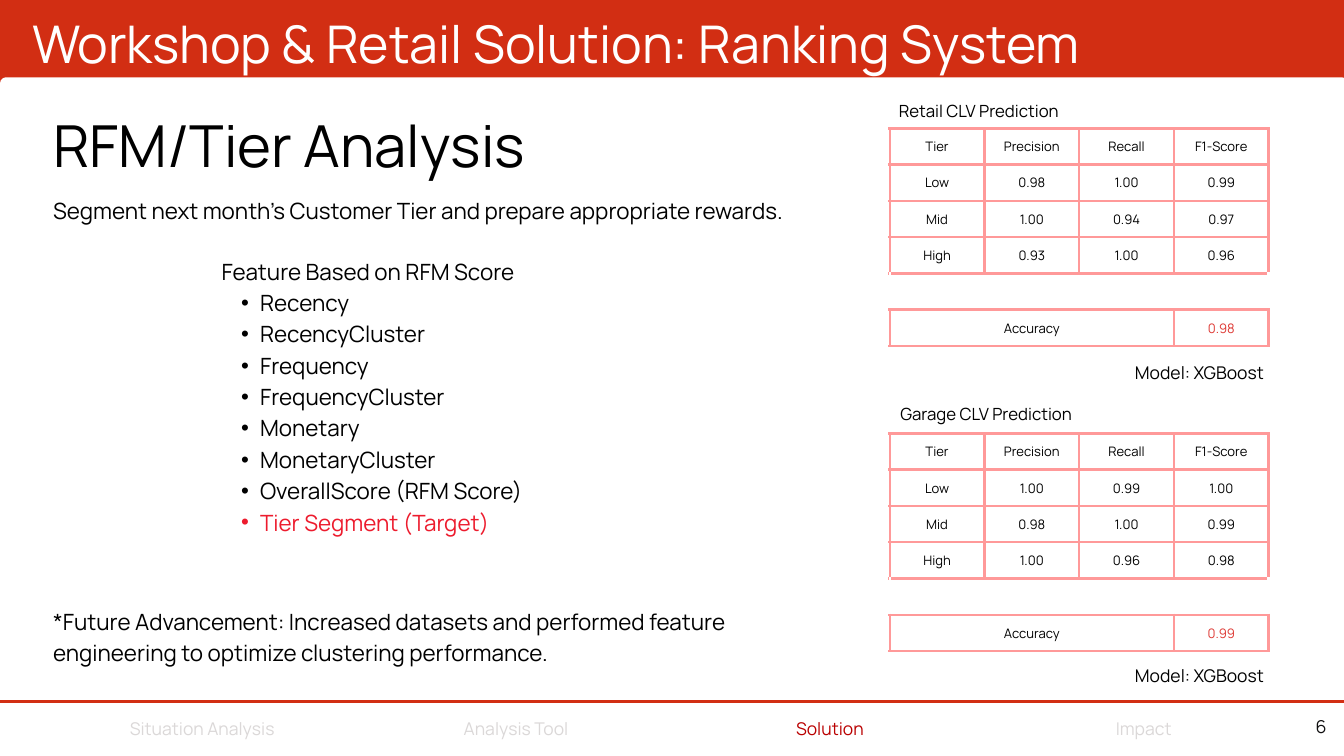
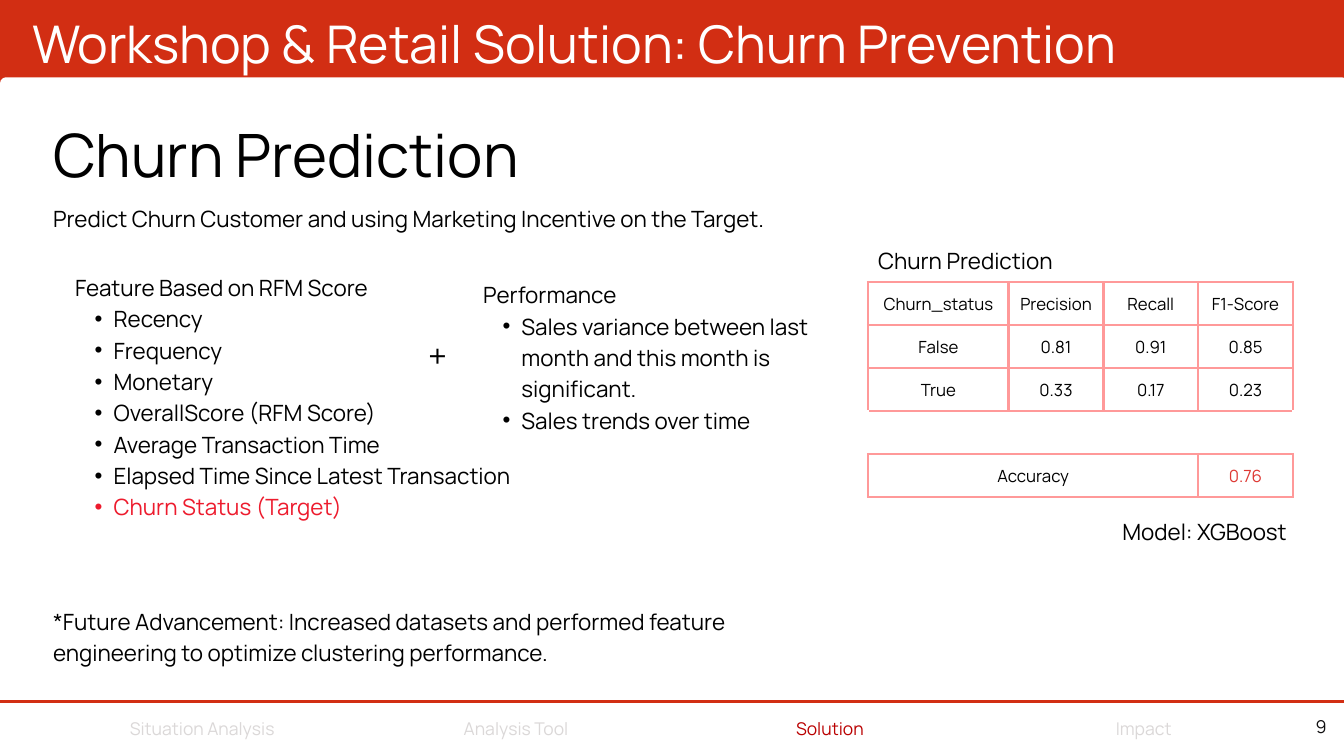
"""Build two slides on customer ranking and churn prediction for a workshop and retail business."""
from lxml import etree
from pptx import Presentation, util as u
from pptx.dml.color import RGBColor
from pptx.enum import shapes, text
from pptx.oxml import ns

COLOURS = {
    "brand": "D22E13", "panel": "FFFFFF", "ink": "000000", "page": "100F10",
    "target": "ED1B2D", "score": "DE3934", "grid": "FF9999",
    "muted": "DBD8D8", "current": "BA0000",
}
FONT = "Manrope"
LEADING = 1.4
MARGIN = 0.79
SECTIONS = ["Situation Analysis", "Analysis Tool", "Solution", "Impact"]
FUTURE = ("*Future Advancement: Increased datasets and performed feature "
          "engineering to optimize clustering performance.")
METRICS = ["Precision", "Recall", "F1-Score"]
MODEL = "Model: XGBoost"
LEFT, CENTER, RIGHT = text.PP_ALIGN.LEFT, text.PP_ALIGN.CENTER, text.PP_ALIGN.RIGHT


def rgb(name):
    return RGBColor.from_string(COLOURS[name])


def box(*lengths):
    return [u.Inches(length) for length in lengths]


def add_xml(parent, tag, **attributes):
    return etree.SubElement(parent, ns.qn(tag), attributes)


class Deck:
    def __init__(self):
        self.prs = Presentation()
        self.prs.slide_width, self.prs.slide_height = box(20, 11.25)
        fill = self.prs.slide_master.background.fill
        fill.solid()
        fill.fore_color.rgb = rgb("brand")
        self.slide = None

    def style(self, paragraph, size, colour="ink", align=LEFT, leading=None):
        paragraph.alignment = align
        paragraph.line_spacing = u.Pt(leading or round(size * LEADING, 1))
        paragraph.space_before = u.Pt(0)
        font = paragraph.font
        font.size, font.name = u.Pt(size), FONT
        font.color.rgb = rgb(colour)

    def frame(self, holder):
        frame = holder.text_frame
        frame.margin_left = frame.margin_right = frame.margin_top = frame.margin_bottom = 0
        frame.word_wrap = True
        frame.vertical_anchor = text.MSO_ANCHOR.TOP
        frame.auto_size = text.MSO_AUTO_SIZE.SHAPE_TO_FIT_TEXT
        return frame

    def start(self, title, page, section):
        self.slide = self.prs.slides.add_slide(self.prs.slide_layouts[5])
        heading = self.slide.shapes.title
        heading.left, heading.top, heading.width, heading.height = box(0.48, 0.02, 19.1, 1.09)
        frame = self.frame(heading)
        frame.text = title
        self.style(frame.paragraphs[0], 55.6, "panel")
        self.panel()
        self.rule()
        self.label(str(page), (19.43, 10.76, 0.31, 0.26), 19, "page", RIGHT, leading=15)
        for i, name in enumerate(SECTIONS):
            self.label(name, (1.55 + 4.67 * i, 10.63, 2.92, 0.37), 18.8,
                       "current" if name == section else "muted", CENTER)

    def panel(self):
        panel = self.slide.shapes.add_shape(
            shapes.MSO_SHAPE.ROUNDED_RECTANGLE, *box(0, 1.15, 20.06, 12.12))
        panel.adjustments[0] = 0.09 / 12.12
        panel.shadow.inherit = False
        panel.fill.solid()
        panel.fill.fore_color.rgb = rgb("panel")
        panel.line.fill.background()

    def rule(self):
        rule = self.slide.shapes.add_connector(
            shapes.MSO_CONNECTOR.STRAIGHT, *box(0, 10.44, 20, 10.44))
        rule.line.color.rgb = rgb("brand")
        rule.line.width = u.Pt(3)
        add_xml(rule._element.spPr, "a:effectLst")

    def label(self, words, place, size=24, colour="ink", align=LEFT, leading=None):
        frame = self.frame(self.slide.shapes.add_textbox(*box(*place)))
        frame.text = words
        self.style(frame.paragraphs[0], size, colour, align, leading)
        return frame

    def features(self, heading, items, place, target=None):
        frame = self.label(heading, place)
        for item in items + ([target] if target else []):
            paragraph = frame.add_paragraph()
            paragraph.text = item
            paragraph.level = 1
            props = paragraph._p.get_or_add_pPr()
            props.set("marL", str(u.Inches(0.57)))
            props.set("indent", str(u.Inches(-0.28)))
            add_xml(props, "a:buFont", typeface="Arial")
            add_xml(props, "a:buChar", char="•")
            self.style(paragraph, 24, "target" if item == target else "ink")

    def borders(self, cell, sides):
        props = cell._tc.get_or_add_tcPr()
        for edge in "LRTB":
            line = add_xml(props, f"a:ln{edge}", w=str(u.Pt(3)))
            fill = add_xml(line, "a:solidFill")
            add_xml(fill, "a:srgbClr", val=COLOURS[sides if edge in "LR" else "grid"])
        cell.fill.background()

    def scores(self, rows, accuracy, place, widths, row_height, size):
        spacer, last = len(rows), len(rows) + 1
        grid = rows + [[""] * 4, ["Accuracy", "", "", accuracy]]
        table = self.slide.shapes.add_table(
            len(grid), 4, *box(*place, sum(widths), row_height * len(grid))).table
        table.first_row = table.horz_banding = False
        for column, width in zip(table.columns, widths):
            column.width = u.Inches(width)
        for r, row in enumerate(grid):
            table.rows[r].height = u.Inches(row_height)
            for c, value in enumerate(row):
                cell = table.cell(r, c)
                cell.margin_left = cell.margin_right = u.Inches(0.05)
                cell.margin_top = cell.margin_bottom = u.Inches(0.05)
                cell.vertical_anchor = text.MSO_ANCHOR.MIDDLE
                cell.text = value
                self.style(cell.text_frame.paragraphs[0], size,
                           "score" if (r, c) == (last, 3) else "ink", CENTER)
                self.borders(cell, "panel" if r == spacer else "grid")
        table.cell(spacer, 0).merge(table.cell(spacer, 3))
        table.cell(last, 0).merge(table.cell(last, 2))


def ranking(deck):
    deck.start("Workshop & Retail Solution: Ranking System", 6, "Solution")
    predictions = [
        ("Retail", 2.65, 1.45, 1.91, 5.33, "0.98",
         [["Low", "0.98", "1.00", "0.99"],
          ["Mid", "1.00", "0.94", "0.97"],
          ["High", "0.93", "1.00", "0.96"]]),
        ("Garage", 2.87, 5.96, 6.45, 9.85, "0.99",
         [["Low", "1.00", "0.99", "1.00"],
          ["Mid", "0.98", "1.00", "0.99"],
          ["High", "1.00", "0.96", "0.98"]]),
    ]
    for business, width, caption_top, top, model_top, accuracy, tiers in predictions:
        deck.scores([["Tier"] + METRICS] + tiers, accuracy, (13.24, top), [1.41] * 4, 0.54, 14)
        deck.label(f"{business} CLV Prediction", (13.24, caption_top, width, 0.36),
                   18, align=CENTER)
        deck.label(MODEL, (16.83, model_top, 2.04, 0.37), 18.8, align=CENTER)
    deck.label("RFM/Tier Analysis", (MARGIN, 1.46, 8.68, 1.21), 62)
    deck.label("Segment next month's Customer Tier and prepare appropriate rewards.",
               (MARGIN, 2.86, 12.19, 0.46))
    deck.features("Feature Based on RFM Score",
                  ["Recency", "RecencyCluster", "Frequency", "FrequencyCluster",
                   "Monetary", "MonetaryCluster", "OverallScore (RFM Score)"],
                  (3.3, 3.77, 7.17, 4.13), "Tier Segment (Target)")
    deck.label(FUTURE, (MARGIN, 8.98, 11.55, 0.92))


def churn(deck):
    deck.start("Workshop & Retail Solution: Churn Prevention", 9, "Solution")
    deck.scores([["Churn_status"] + METRICS,
                 ["False", "0.81", "0.91", "0.85"],
                 ["True", "0.33", "0.17", "0.23"]],
                "0.76", (12.92, 4.2), [2.09] + [1.41] * 3, 0.64, 18)
    deck.label("Churn Prediction", (12.92, 3.61, 2.89, 0.46), align=CENTER)
    deck.label(MODEL, (16.62, 7.65, 2.61, 0.46), align=CENTER)
    deck.label("Churn Prediction", (MARGIN, 1.58, 8.68, 1.26), 64)
    deck.label("Predict Churn Customer and using Marketing Incentive on the Target.",
               (MARGIN, 2.99, 11.8, 0.46))
    deck.features("Feature Based on RFM Score",
                  ["Recency", "Frequency", "Monetary", "OverallScore (RFM Score)",
                   "Average Transaction Time", "Elapsed Time Since Latest Transaction"],
                  (1.12, 4.01, 7.17, 3.67), "Churn Status (Target)")
    deck.label("+", (6.37, 4.9, 0.2, 0.7), 35.1)
    deck.features("Performance",
                  ["Sales variance between last month and this month is significant.",
                   "Sales trends over time"],
                  (7.19, 4.12, 5.16, 2.3))
    deck.label(FUTURE, (MARGIN, 8.98, 11.55, 0.92))


def main():
    deck = Deck()
    ranking(deck)
    churn(deck)
    deck.prs.save("out.pptx")


if __name__ == "__main__":
    main()
